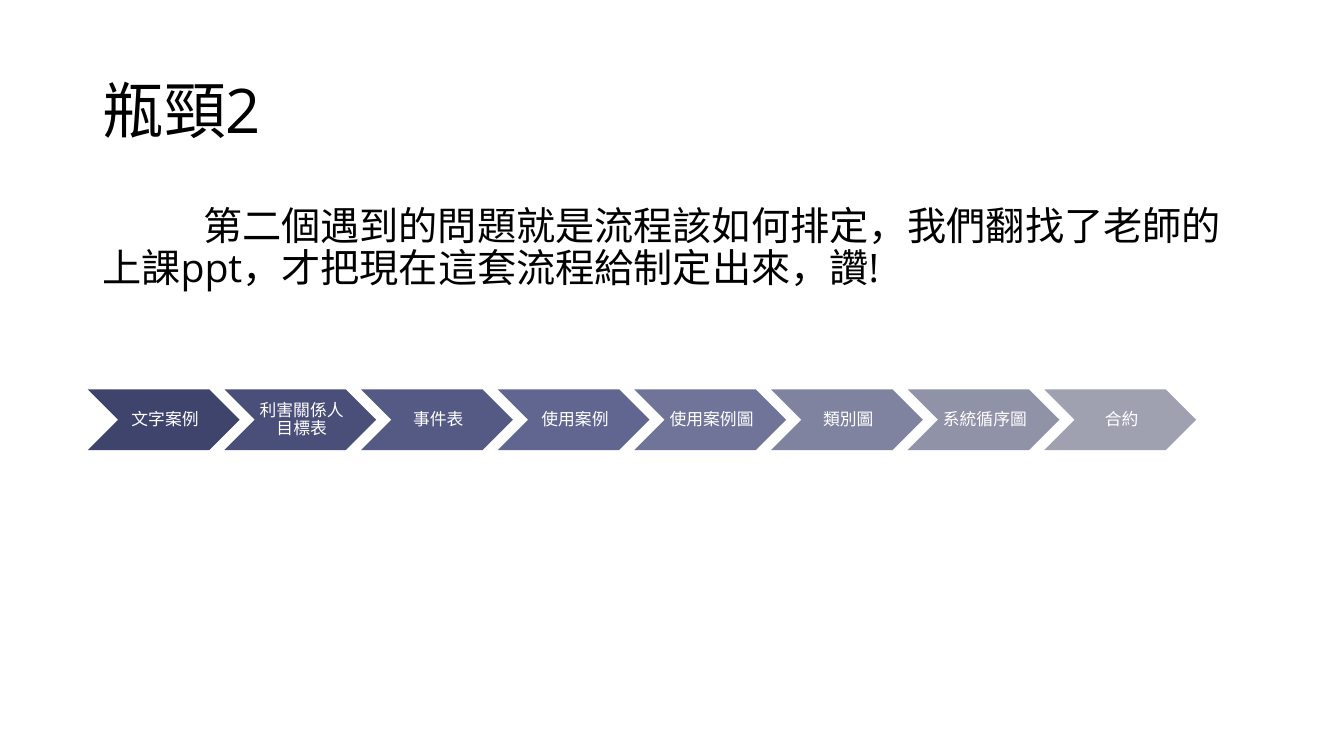
from pptx import Presentation
from pptx.dml.color import RGBColor
from pptx.enum.shapes import MSO_SHAPE
from pptx.enum.text import MSO_ANCHOR, PP_ALIGN
from pptx.util import Pt

CHEVRON = MSO_SHAPE.CHEVRON
LEFT, CENTER = PP_ALIGN.LEFT, PP_ALIGN.CENTER
TOP, MIDDLE = MSO_ANCHOR.TOP, MSO_ANCHOR.MIDDLE
FONT = "Open Sans"
BLACK = RGBColor(0x00, 0x00, 0x00)
WHITE = RGBColor(0xFF, 0xFF, 0xFF)
STEPS = [
    ("文字案例", RGBColor(0x3F, 0x44, 0x6D)),
    ("利害關係人目標表", RGBColor(0x4A, 0x4F, 0x79)),
    ("事件表", RGBColor(0x55, 0x5A, 0x85)),
    ("使用案例", RGBColor(0x61, 0x66, 0x90)),
    ("使用案例圖", RGBColor(0x70, 0x74, 0x99)),
    ("類別圖", RGBColor(0x80, 0x83, 0xA0)),
    ("系統循序圖", RGBColor(0x90, 0x92, 0xA8)),
    ("合約", RGBColor(0x9F, 0xA1, 0xB0)),
]
STORY = ("第二個遇到的問題就是流程該如何排定，我們翻找了老師的上課ppt，"
         "才把現在這套流程給制定出來，讚!")


def apply(item, values):
    for name, value in values.items():
        setattr(item, name, value)


def write(shape, text, size, color, align, anchor):
    """Fill the shape with one formatted paragraph and return it."""
    frame = shape.text_frame
    frame.text = text
    apply(frame, {"word_wrap": True, "vertical_anchor": anchor})
    para = frame.paragraphs[0]
    apply(para, {"alignment": align, "line_spacing": 0.9})
    font = para.runs[0].font
    apply(font, {"name": FONT, "size": Pt(size)})
    font.color.rgb = color
    return para


def add_title(slide, text, left, top, width, height):
    title = slide.shapes.title
    apply(title, {"left": Pt(left), "top": Pt(top),
                  "width": Pt(width), "height": Pt(height)})
    write(title, text, 44, BLACK, LEFT, MIDDLE)


def add_story(slide, text, left, top, width, height):
    box = slide.shapes.add_textbox(Pt(left), Pt(top), Pt(width), Pt(height))
    para = write(box, text, 28, BLACK, LEFT, TOP)
    para.space_before = Pt(10)
    para._p.get_or_add_pPr().set("indent", str(Pt(72)))


def add_flow(slide, steps, left, top, width, height):
    """Spread chevrons over the box, each gap a quarter of the height."""
    overlap = height / 4
    size = (width + overlap * (len(steps) - 1)) / len(steps)
    for i, (label, color) in enumerate(steps):
        x = left + i * (size - overlap)
        arrow = slide.shapes.add_shape(
            CHEVRON, Pt(x), Pt(top), Pt(size), Pt(height))
        arrow.shadow.inherit = False
        arrow.fill.solid()
        arrow.fill.fore_color.rgb = color
        arrow.line.fill.background()
        write(arrow, label, 12, WHITE, CENTER, MIDDLE)
        apply(arrow.text_frame, {
            "margin_left": Pt(3), "margin_right": Pt(1),
            "margin_top": Pt(1.5), "margin_bottom": Pt(1.5)})


def main():
    deck = Presentation()
    apply(deck, {"slide_width": Pt(960), "slide_height": Pt(540)})
    slide = deck.slides.add_slide(deck.slide_layouts[5])
    add_title(slide, "瓶頸2", 66, 28.75, 828, 104.4)
    add_story(slide, STORY, 66, 143.75, 828, 342.6)
    add_flow(slide, STEPS, 62.7, 278.1, 791.7, 43.4)
    deck.save("out.pptx")


if __name__ == "__main__":
    main()
